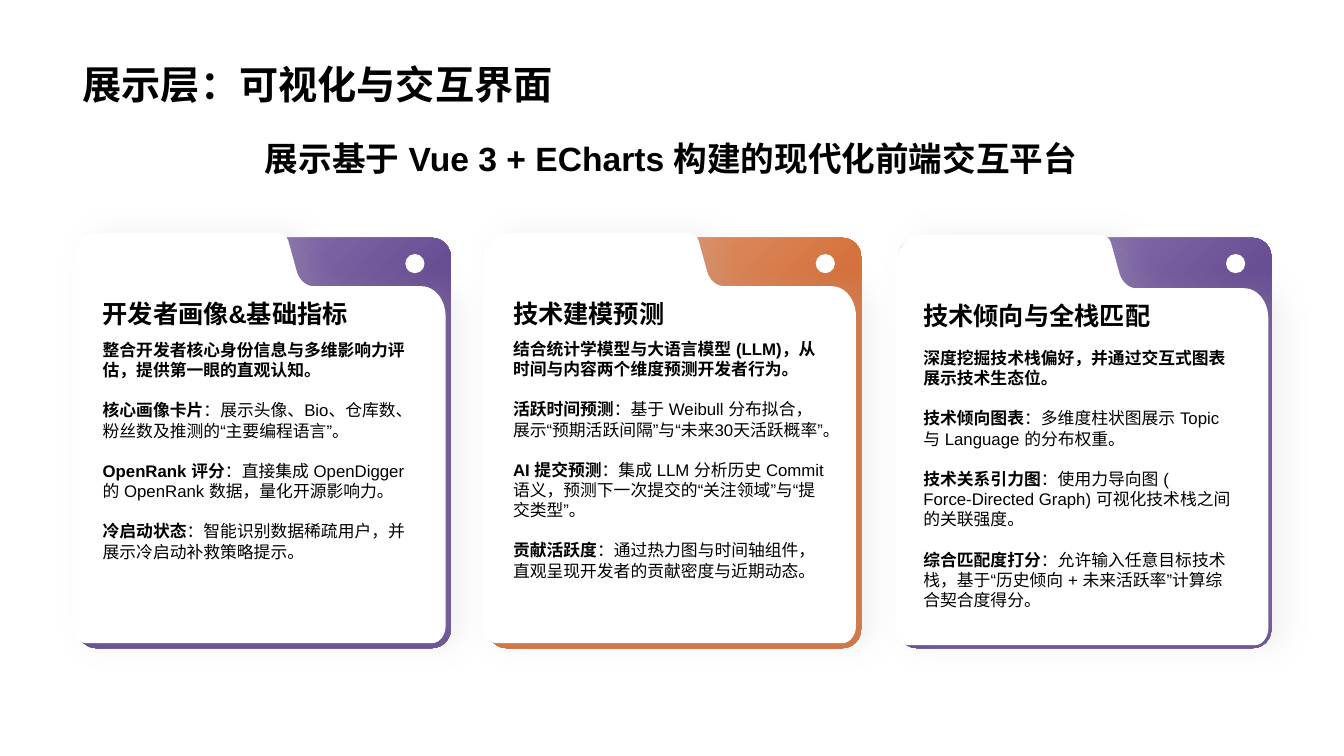
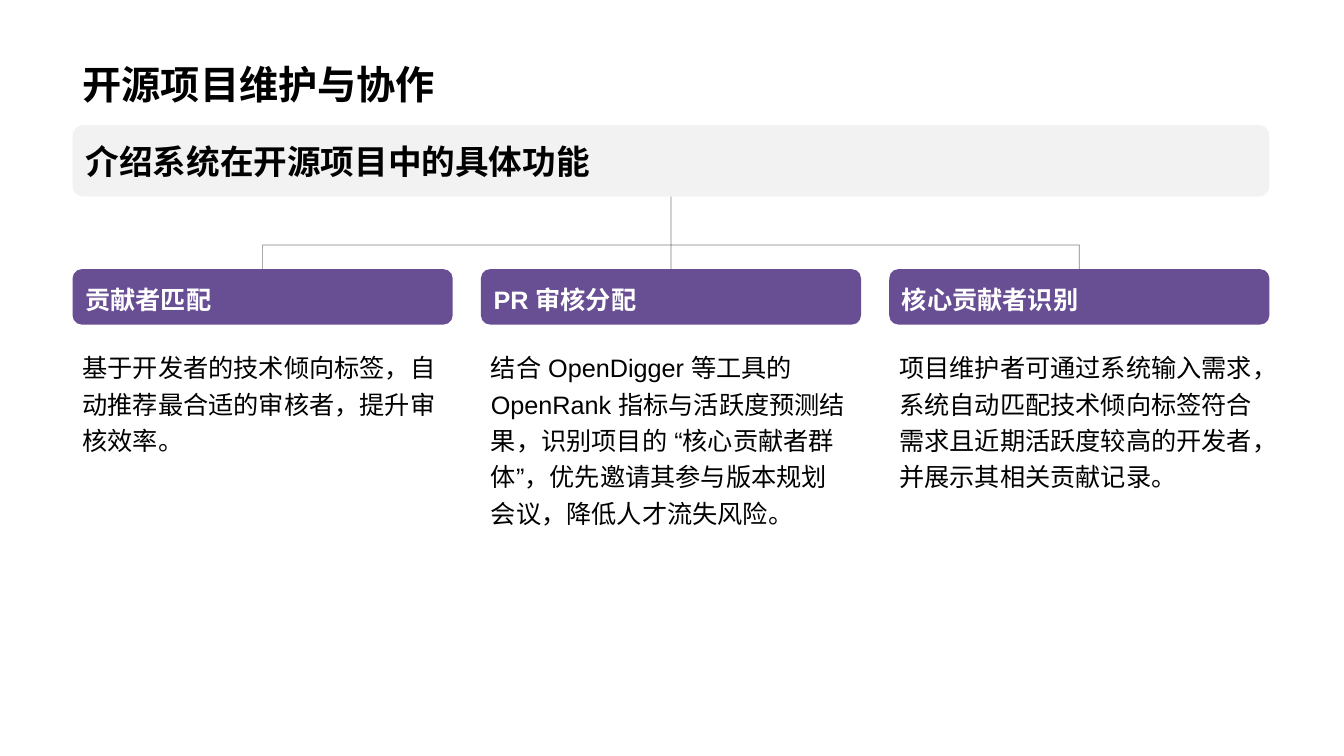
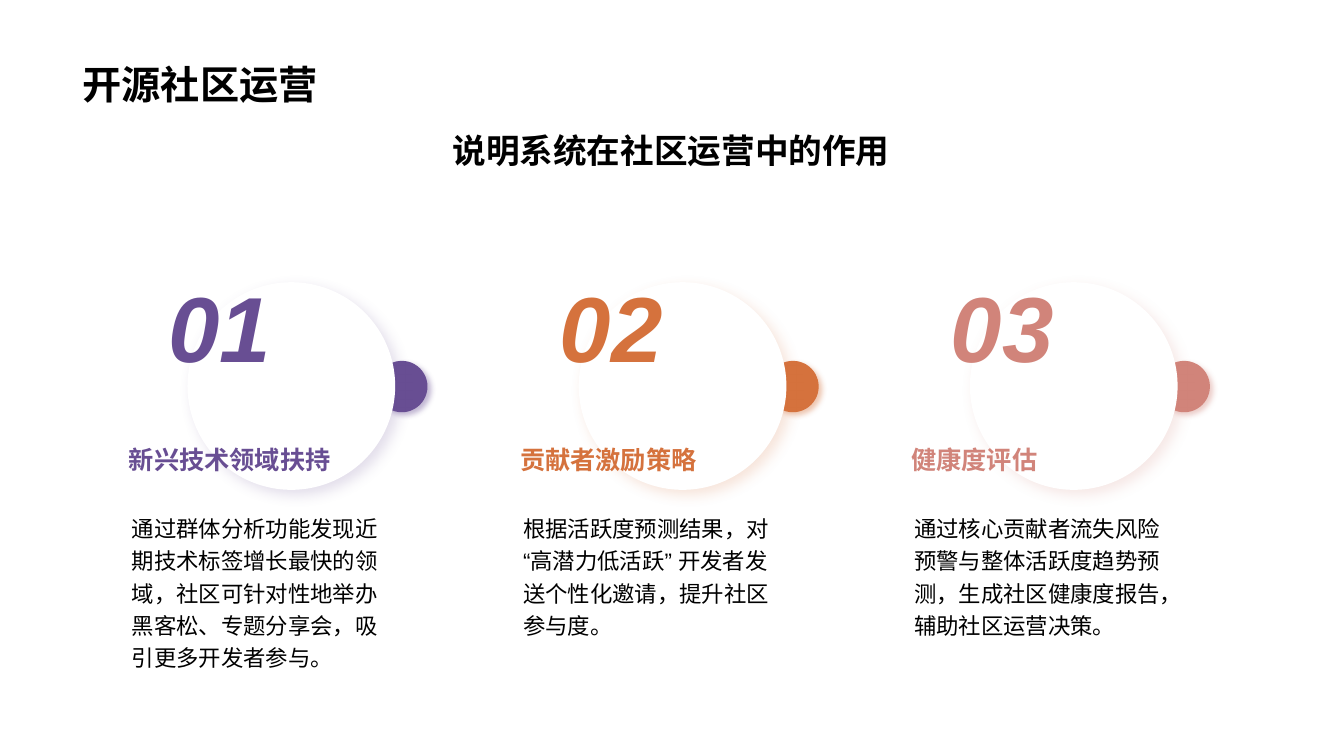
from lxml import etree
from pptx import Presentation
from pptx.dml.color import RGBColor
from pptx.enum.dml import MSO_LINE
from pptx.enum.lang import MSO_LANGUAGE_ID
from pptx.enum.shapes import MSO_CONNECTOR, MSO_SHAPE
from pptx.enum.text import MSO_ANCHOR, MSO_AUTO_SIZE, PP_ALIGN
from pptx.oxml import parse_xml
from pptx.oxml.ns import nsdecls, qn
from pptx.util import Inches, Pt

LEFT, CENTER, RIGHT = PP_ALIGN.LEFT, PP_ALIGN.CENTER, PP_ALIGN.RIGHT
TOP, MIDDLE, BOTTOM = MSO_ANCHOR.TOP, MSO_ANCHOR.MIDDLE, MSO_ANCHOR.BOTTOM
OVAL, ROUNDED = MSO_SHAPE.OVAL, MSO_SHAPE.ROUNDED_RECTANGLE
STRAIGHT, SOLID = MSO_CONNECTOR.STRAIGHT, MSO_LINE.SOLID
CHINESE = MSO_LANGUAGE_ID.SIMPLIFIED_CHINESE

FONT = "Arial"
BLACK, WHITE, GREY = "000000", "FFFFFF", "B4B4B4"
PURPLE, ORANGE, ROSE = "684E93", "D5723D", "D1847A"
LILAC, PEACH = "A38FC4", "E6AA8B"
MARGIN, CONTENT_W = 0.72, 11.87


def rgb(color):
    return RGBColor.from_string(color)


def write(tf, paras, size=18, color=BLACK, bold=False, italic=False, align=LEFT,
          anchor=TOP, spacing=1.0, gap=0):
    """Fill a frame; a paragraph is a string or a list of (text, bold) runs."""
    tf.word_wrap = True
    tf.auto_size = MSO_AUTO_SIZE.NONE
    tf.vertical_anchor = anchor
    for i, runs in enumerate(paras):
        p = tf.add_paragraph() if i else tf.paragraphs[0]
        p.alignment, p.line_spacing = align, spacing
        p.space_before = Pt(gap if i else 0)
        for text, strong in [(runs, bold)] if isinstance(runs, str) else runs:
            for n, line in enumerate(text.split("\n")):
                if n:
                    p.add_line_break()
                r = p.add_run()
                r.text = line
                f = r.font
                f.name, f.size, f.bold, f.italic = FONT, Pt(size), strong, italic
                f.color.rgb = rgb(color)
                f.language_id = CHINESE
                etree.SubElement(r._r.rPr, qn("a:ea"), typeface=FONT)


def add_text(s, x, y, w, h, *paras, **fmt):
    sp = s.shapes.add_textbox(Inches(x), Inches(y), Inches(w), Inches(h))
    write(sp.text_frame, paras, **fmt)
    return sp


def set_alpha(fill_parent, percent):
    color = fill_parent.find(".//" + qn("a:srgbClr"))
    etree.SubElement(color, qn("a:alpha"), val=str(percent * 1000))


def set_shadow(sp, color, alpha, blur, dist, angle):
    sp._element.spPr.append(parse_xml(
        f'<a:effectLst {nsdecls("a")}><a:outerShdw blurRad="{Pt(blur)}" dist="{Pt(dist)}" '
        f'dir="{angle * 60000}" algn="ctr" rotWithShape="0"><a:srgbClr val="{color}">'
        f'<a:alpha val="{alpha * 1000}"/></a:srgbClr></a:outerShdw></a:effectLst>'))


def style(sp, color, shadow=None):
    sp.fill.solid()
    sp.fill.fore_color.rgb = rgb(color)
    sp.line.fill.background()
    if shadow:
        set_shadow(sp, *shadow)
    else:
        sp.shadow.inherit = False
    return sp


def add_shape(s, kind, x, y, w, h, color, shadow=None):
    sp = s.shapes.add_shape(kind, Inches(x), Inches(y), Inches(w), Inches(h))
    return style(sp, color, shadow)


def add_line(s, x1, y1, x2, y2):
    c = s.shapes.add_connector(STRAIGHT, Inches(x1), Inches(y1), Inches(x2), Inches(y2))
    c.line.color.rgb = rgb(BLACK)
    c.line.width = Pt(0.5)
    c.line.dash_style = SOLID
    set_alpha(c.line._ln, 50)
    etree.SubElement(c._element.spPr, qn("a:effectLst"))
    return c


def add_slide(prs, title):
    s = prs.slides.add_slide(prs.slide_layouts[5])
    sp = s.shapes.title
    sp.left, sp.top = Inches(MARGIN), Inches(0.14)
    sp.width, sp.height = Inches(CONTENT_W), Inches(0.98)
    write(sp.text_frame, [title], size=28, bold=True, anchor=BOTTOM)
    return s


# Slide 1: folder cards
# Folder outline: two numbers end a line, six end a Bezier curve
FOLDER = [(2.04, 0), (2.08, 0.01), (2.09, 0.02, 2.11, 0.03, 2.12, 0.04), (2.14, 0.08),
          (2.22, 0.37), (2.24, 0.46, 2.31, 0.53, 2.39, 0.53), (3.46, 0.53),
          (3.59, 0.53, 3.7, 0.66, 3.7, 0.83), (3.7, 3.9),
          (3.7, 3.99, 3.64, 4.07, 3.57, 4.07), (0.13, 4.07),
          (0.06, 4.07, 0, 3.99, 0, 3.9), (0, 0.34), (0, 0.15, 0.11, 0, 0.25, 0)]


def outline_points(segments, steps=12):
    points = []
    for seg in segments:
        if len(seg) == 2:
            points.append(seg)
            continue
        corners = [points[-1], seg[:2], seg[2:4], seg[4:]]
        for n in range(1, steps + 1):
            t = n / steps
            weights = ((1 - t) ** 3, 3 * t * (1 - t) ** 2, 3 * t * t * (1 - t), t ** 3)
            points.append(tuple(sum(k * c[axis] for k, c in zip(weights, corners))
                                for axis in (0, 1)))
    return points


def folder_card(s, x, y, light, dark, shift, body_top, heading, intro, items):
    # Gradient back
    back = add_shape(s, ROUNDED, x, y, 3.7, 4.07, dark)
    back.adjustments[0] = 0.05
    back.fill.gradient()
    back.fill.gradient_angle = 315
    for stop, color, pos in zip(back.fill.gradient_stops, (light, dark), (0, 0.5)):
        stop.color.rgb = rgb(color)
        stop.position = pos
    # White folder front
    fx, fy = x - shift, y - shift
    points = [(Inches(fx + px), Inches(fy + py)) for px, py in outline_points(FOLDER)]
    fb = s.shapes.build_freeform(*points[0])
    fb.add_line_segments(points[1:], close=True)
    style(fb.convert_to_shape(), WHITE, (GREY, 20, 20, 10, 0))
    add_shape(s, OVAL, x + 3.25, y + 0.16, 0.19, 0.19, WHITE)
    # Text
    paras = [[(intro, True)]] + [[(name, True), ("：" + text, False)] for name, text in items]
    add_text(s, x + 0.15, fy + body_top, 3.3, 2.75, *paras, size=12, gap=14.4)
    add_text(s, x + 0.15, fy + 0.51, 3.3, 0.49, heading, bold=True, anchor=BOTTOM)


def cards_slide(prs):
    s = add_slide(prs, "展示层：可视化与交互界面")
    add_text(s, MARGIN, 1.24, CONTENT_W, 0.7, "展示基于 Vue 3 + ECharts 构建的现代化前端交互平台",
             size=24, bold=True, align=CENTER, spacing=1.2)
    cards = [
        (LILAC, PURPLE, 0.05, 1.01, "开发者画像&基础指标",
         "整合开发者核心身份信息与多维影响力评估，提供第一眼的直观认知。",
         [("核心画像卡片", "展示头像、Bio、仓库数、粉丝数及推测的“主要编程语言”。"),
          ("OpenRank 评分", "直接集成 OpenDigger 的 OpenRank 数据，量化开源影响力。"),
          ("冷启动状态", "智能识别数据稀疏用户，并展示冷启动补救策略提示。")]),
        (PEACH, ORANGE, 0.05, 1.0, "技术建模预测",
         "结合统计学模型与大语言模型 (LLM)，从时间与内容两个维度预测开发者行为。",
         [("活跃时间预测", "基于 Weibull 分布拟合，展示“预期活跃间隔”与“未来30天活跃概率”。"),
          ("AI 提交预测", "集成 LLM 分析历史 Commit 语义，预测下一次提交的“关注领域”与“提交类型”。"),
          ("贡献活跃度", "通过热力图与时间轴组件，直观呈现开发者的贡献密度与近期动态。")]),
        (LILAC, PURPLE, 0.03, 1.07, "技术倾向与全栈匹配",
         "深度挖掘技术栈偏好，并通过交互式图表展示技术生态位。",
         [("技术倾向图表", "多维度柱状图展示 Topic 与 Language 的分布权重。"),
          ("技术关系引力图", "使用力导向图 (\nForce-Directed Graph) 可视化技术栈之间的关联强度。"),
          ("综合匹配度打分", "允许输入任意目标技术栈，基于“历史倾向 + 未来活跃率”计算综合契合度得分。")]),
    ]
    for i, card in enumerate(cards):
        folder_card(s, 0.77 + i * 4.07, 2.36, *card)


# Slide 2: tree of functions
def branch(s, x, y, w, heading, body):
    head = add_shape(s, ROUNDED, x, y, w, 0.55, PURPLE)
    write(head.text_frame, [heading], color=WHITE, bold=True, anchor=MIDDLE, spacing=1.2)
    add_text(s, x, y + 0.72, w, 3.31, body, spacing=1.2)
    return head


def tree_slide(prs):
    s = add_slide(prs, "开源项目维护与协作")
    bar = add_shape(s, ROUNDED, MARGIN, 1.24, CONTENT_W, 0.71, BLACK)
    bar.adjustments[0] = 0.15
    set_alpha(bar._element.spPr, 5)
    write(bar.text_frame, ["介绍系统在开源项目中的具体功能"], size=24, bold=True, anchor=MIDDLE)
    branches = [
        ("贡献者匹配", "基于开发者的技术倾向标签，自动推荐最合适的审核者，提升审核效率。"),
        ("PR 审核分配", "结合 OpenDigger 等工具的 OpenRank 指标与活跃度预测结果，识别项目的 "
         "“核心贡献者群体”，优先邀请其参与版本规划会议，降低人才流失风险。"),
        ("核心贡献者识别", "项目维护者可通过系统输入需求，系统自动匹配技术倾向标签符合需求且近期"
         "活跃度较高的开发者，并展示其相关贡献记录。"),
    ]
    w, pitch, top, rail = 3.77, 4.05, 2.67, 2.43
    heads = [branch(s, MARGIN + i * pitch, top, w, *b) for i, b in enumerate(branches)]
    # Trunk, rail and drops
    first, middle, last = (MARGIN + w / 2 + i * pitch for i in range(3))
    trunk = add_line(s, middle, 1.95, middle, top)
    trunk.begin_connect(bar, 2)
    trunk.end_connect(heads[1], 0)
    add_line(s, first, rail, last, rail)
    for x, head in ((first, heads[0]), (last, heads[2])):
        add_line(s, x, rail, x, top).end_connect(head, 0)


# Slide 3: numbered circles
def numbered_circle(s, x, y, number, color, heading, body):
    add_shape(s, OVAL, x + 1.87, y + 0.78, 0.51, 0.51, color, (color, 40, 4, 3, 45))
    add_shape(s, OVAL, x, y, 2.06, 2.06, WHITE, (color, 18, 10, 5, 45))
    add_text(s, x - 0.68, y + 1.03, 2.71, 0.93, heading, color=color, bold=True, anchor=BOTTOM)
    add_text(s, x - 0.65, y + 2.21, 2.71, 1.7, body, size=16, spacing=1.2)
    add_text(s, x - 0.53, y - 0.27, 1.46, 1.3, number, size=66, color=color, bold=True,
             italic=True, align=RIGHT, anchor=BOTTOM)


def circles_slide(prs):
    s = add_slide(prs, "开源社区运营")
    add_text(s, MARGIN, 1.24, CONTENT_W, 0.78, "说明系统在社区运营中的作用",
             size=24, bold=True, align=CENTER)
    circles = [
        (PURPLE, "新兴技术领域扶持", "通过群体分析功能发现近期技术标签增长最快的领域，社区可针对性地举办"
         "黑客松、专题分享会，吸引更多开发者参与。"),
        (ORANGE, "贡献者激励策略", "根据活跃度预测结果，对 “高潜力低活跃” 开发者发送个性化邀请，"
         "提升社区参与度。"),
        (ROSE, "健康度评估", "通过核心贡献者流失风险预警与整体活跃度趋势预测，生成社区健康度报告，"
         "辅助社区运营决策。"),
    ]
    for i, circle in enumerate(circles):
        numbered_circle(s, 1.86 + i * 3.88, 2.8, f"{i + 1:02}", *circle)


def main():
    prs = Presentation()
    prs.slide_width, prs.slide_height = Inches(13.33), Inches(7.5)
    cards_slide(prs)
    tree_slide(prs)
    circles_slide(prs)
    prs.save("out.pptx")


if __name__ == "__main__":
    main()
